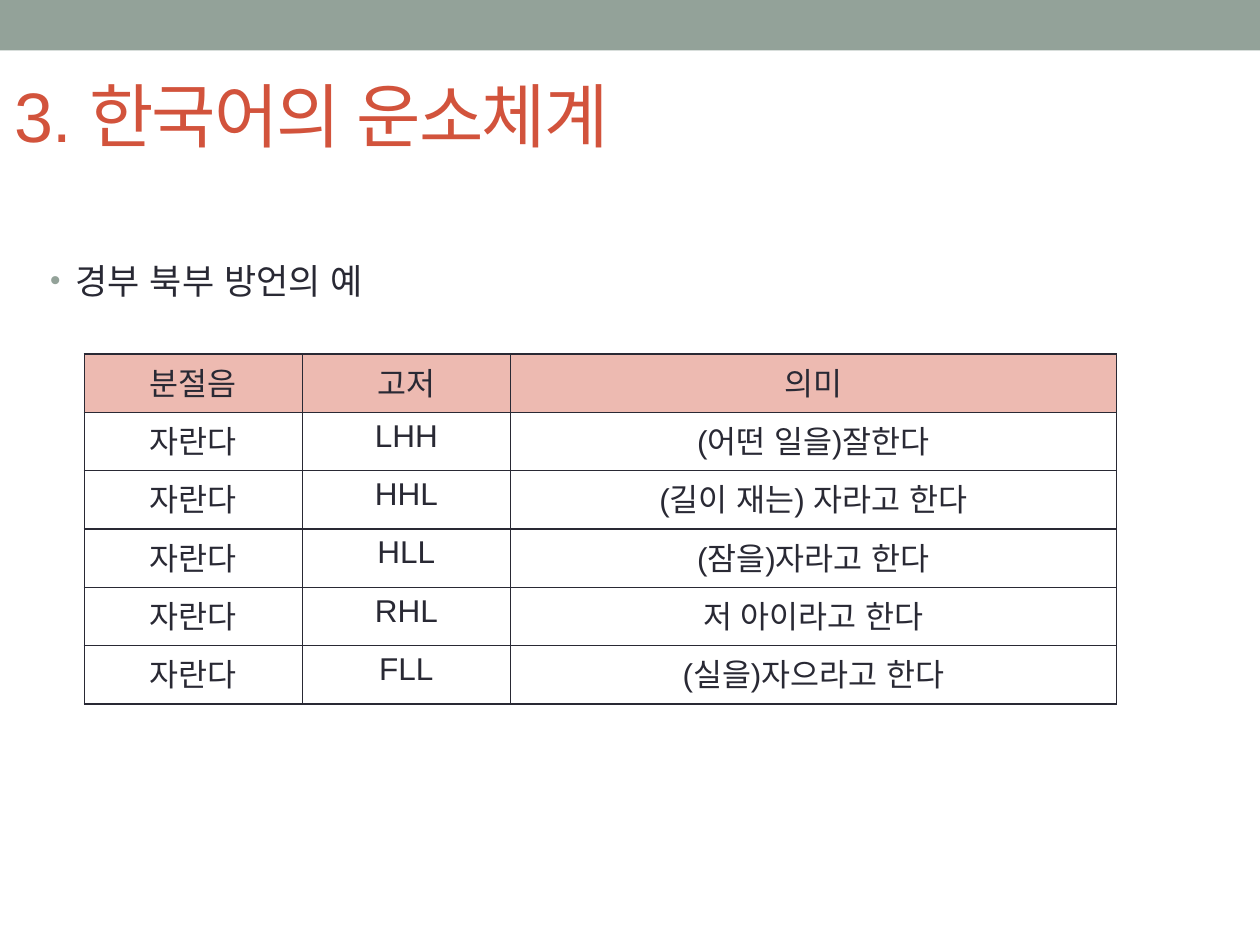
from lxml import etree
from pptx import Presentation
from pptx.dml.color import RGBColor
from pptx.enum import shapes, text
from pptx.oxml import ns
from pptx.util import Inches, Pt

FONT = "Arial"
COLORS = {"band": "93A299", "title": "D2533C", "ink": "292934", "header": "EDBAB1"}

TITLE = "3. 한국어의 운소체계"
EXAMPLE = "경부 북부 방언의 예"
ROWS = [
    ("분절음", "고저", "의미"),
    ("자란다", "LHH", "(어떤 일을)잘한다"),
    ("자란다", "HHL", "(길이 재는) 자라고 한다"),
    ("자란다", "HLL", "(잠을)자라고 한다"),
    ("자란다", "RHL", "저 아이라고 한다"),
    ("자란다", "FLL", "(실을)자으라고 한다"),
]
COLUMN_WIDTHS = (1.73, 1.65, 4.81)
TABLE_HEIGHT = 2.78
KOREAN_MARGIN, LATIN_MARGIN = 0.1, 0.05


def rgb(name):
    return RGBColor.from_string(COLORS[name])


def add_element(parent, tag, **attributes):
    return etree.SubElement(parent, ns.qn(tag), attributes)


def write(frame, content, size, color="ink", align=text.PP_ALIGN.LEFT, spacing=None):
    """Fill the first paragraph; spacing is in hundredths of a point."""
    paragraph = frame.paragraphs[0]
    paragraph.alignment = align
    run = paragraph.add_run()
    run.text = content
    run.font.size = Pt(size)
    run.font.name = FONT
    run.font.color.rgb = rgb(color)
    properties = run._r.get_or_add_rPr()
    if spacing is not None:
        properties.set("spc", str(spacing))
    latin = properties.find(ns.qn("a:latin"))
    east_asian = etree.Element(ns.qn("a:ea"), typeface=FONT)
    latin.addnext(east_asian)
    return paragraph


def add_bullet(paragraph, left, hanging):
    properties = paragraph._p.get_or_add_pPr()
    properties.set("marL", str(Inches(left)))
    properties.set("indent", str(-Inches(hanging)))
    color = add_element(properties, "a:buClr")
    add_element(color, "a:srgbClr", val=COLORS["band"])
    add_element(properties, "a:buSzPct", val="85000")
    add_element(properties, "a:buFont", typeface=FONT)
    add_element(properties, "a:buChar", char="•")


def add_text_box(slide, left, top, width, height):
    box = slide.shapes.add_textbox(*map(Inches, (left, top, width, height)))
    box.text_frame.word_wrap = True
    return box.text_frame


def set_borders(cell):
    properties = cell._tc.get_or_add_tcPr()
    for position, side in enumerate(("a:lnL", "a:lnR", "a:lnT", "a:lnB")):
        line = etree.Element(ns.qn(side), w=str(Pt(1)))
        fill = add_element(line, "a:solidFill")
        add_element(fill, "a:srgbClr", val=COLORS["ink"])
        properties.insert(position, line)


def add_tone_table(slide):
    table = slide.shapes.add_table(
        len(ROWS), len(COLUMN_WIDTHS), Inches(0.67), Inches(2.81),
        Inches(sum(COLUMN_WIDTHS)), Inches(TABLE_HEIGHT)).table
    table.horz_banding = False
    for column, width in zip(table.columns, COLUMN_WIDTHS):
        column.width = Inches(width)
    for row_index, values in enumerate(ROWS):
        table.rows[row_index].height = Inches(TABLE_HEIGHT / len(ROWS))
        for column_index, value in enumerate(values):
            cell = table.cell(row_index, column_index)
            if row_index == 0:
                cell.fill.solid()
                cell.fill.fore_color.rgb = rgb("header")
            else:
                cell.fill.background()
            set_borders(cell)
            cell.margin_top = Inches(LATIN_MARGIN if value.isascii() else KOREAN_MARGIN)
            write(cell.text_frame, value, 18, align=text.PP_ALIGN.CENTER)


def main():
    presentation = Presentation()
    presentation.slide_width, presentation.slide_height = Inches(10), Inches(7.5)
    slide = presentation.slides.add_slide(presentation.slide_layouts[6])

    band = slide.shapes.add_shape(
        shapes.MSO_SHAPE.RECTANGLE, 0, 0, presentation.slide_width, Inches(0.4))
    band.shadow.inherit = False
    band.fill.solid()
    band.fill.fore_color.rgb = rgb("band")
    band.line.fill.background()

    title = add_text_box(slide, 0.02, 0.37, 9, 1.08)
    title.vertical_anchor = text.MSO_ANCHOR.MIDDLE
    write(title, TITLE, 40, color="title", spacing=-100)

    body = add_text_box(slide, 0, 1.62, 10, 5.75)
    body.margin_top = Inches(0.44)
    add_bullet(write(body, EXAMPLE, 20), left=0.5, hanging=0.2)

    add_tone_table(slide)
    presentation.save("out.pptx")


if __name__ == "__main__":
    main()
